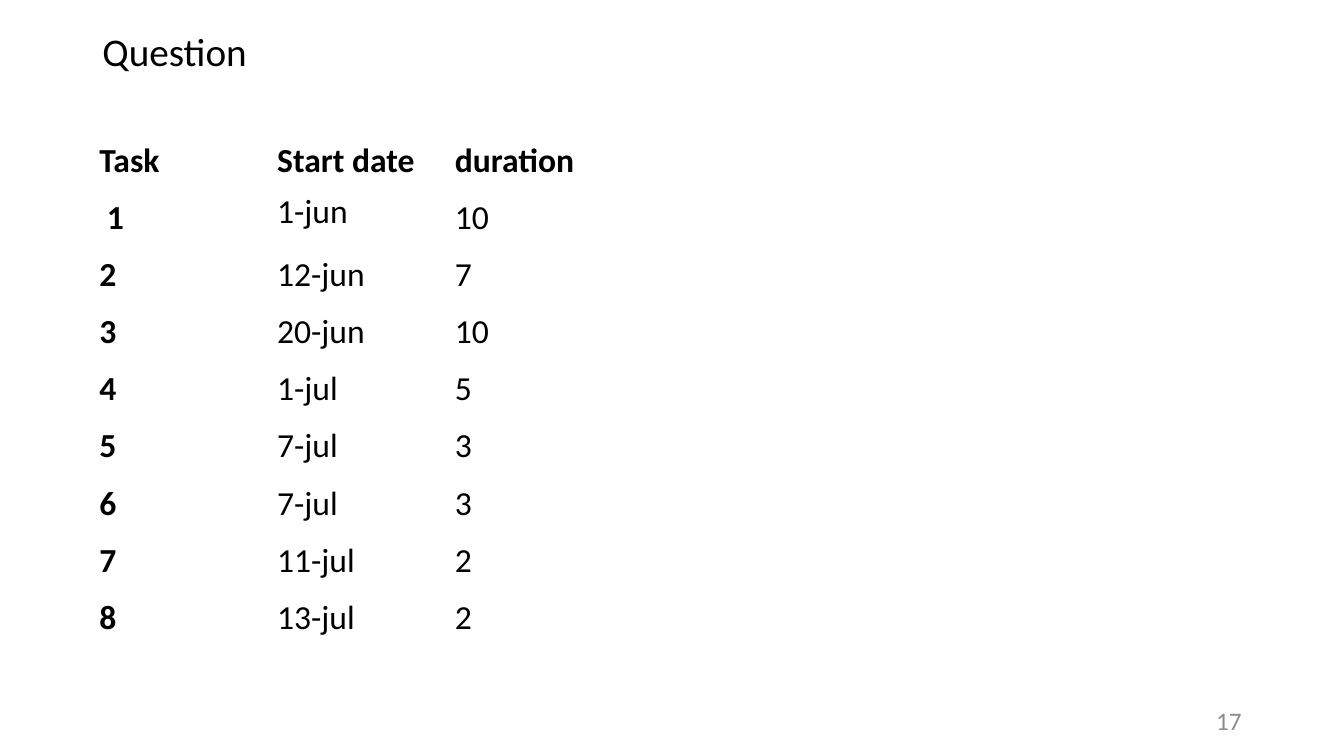
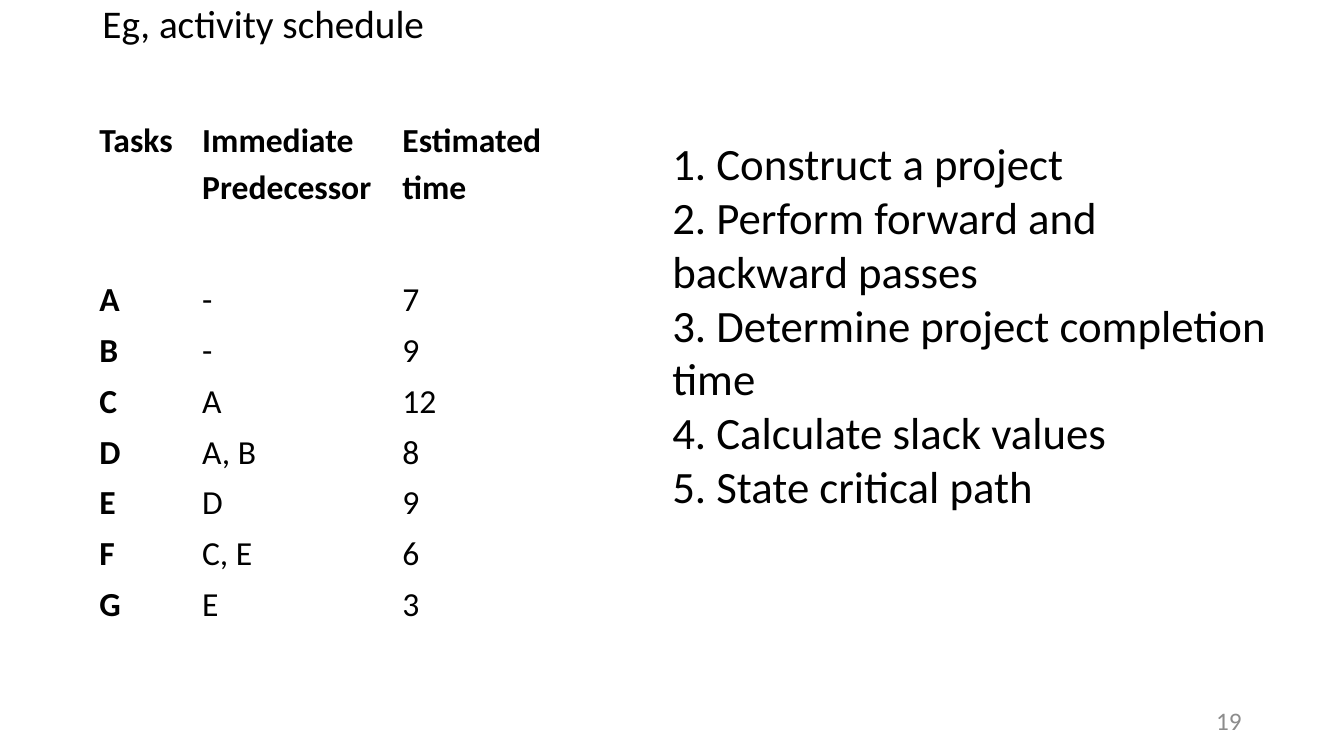
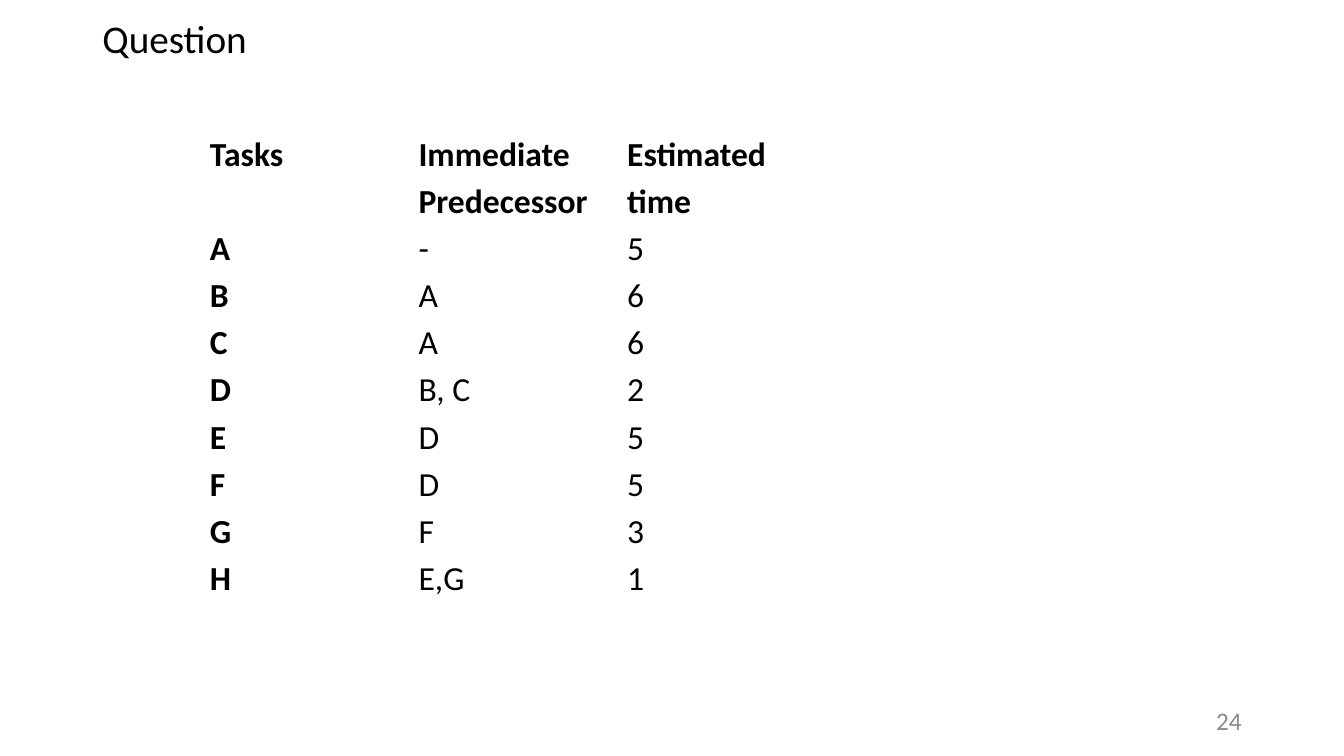
from lxml import etree
from pptx import Presentation
from pptx.dml.color import RGBColor
from pptx.enum.text import MSO_ANCHOR, MSO_AUTO_SIZE, PP_ALIGN
from pptx.oxml.ns import qn
from pptx.util import Pt

LEFT, RIGHT, JUSTIFY = PP_ALIGN.LEFT, PP_ALIGN.RIGHT, PP_ALIGN.JUSTIFY
TOP, MIDDLE = MSO_ANCHOR.TOP, MSO_ANCHOR.MIDDLE
NO_AUTOFIT = MSO_AUTO_SIZE.NONE

# Shared look
FONT = "Calibri"
BLACK = RGBColor(0x00, 0x00, 0x00)
GREY = RGBColor(0x8C, 0x8C, 0x8C)
WHITE = RGBColor(0xFF, 0xFF, 0xFF)
MARGIN_LEFT, CONTENT_WIDTH = 66, 828
CELL_INSET = 5
TITLE_ONLY, TITLE_AND_CONTENT = 5, 1

# Content
DATES = [
    ("Task", "Start date", "duration"),
    (" 1", "1-jun", "10"),
    ("2", "12-jun", "7"),
    ("3", "20-jun", "10"),
    ("4", "1-jul", "5"),
    ("5", "7-jul", "3"),
    ("6", "7-jul", "3"),
    ("7", "11-jul", "2"),
    ("8", "13-jul", "2"),
]
ACTIVITIES = [
    ("Tasks", "Immediate\nPredecessor", "Estimated\ntime"),
    ("A", "-", "7"),
    ("B", "-", "9"),
    ("C", "A", "12"),
    ("D", "A, B", "8"),
    ("E", "D", "9"),
    ("F", "C, E", "6"),
    ("G", "E", "3"),
]
EXERCISE = [
    ("Tasks", "Immediate Predecessor", "Estimated time"),
    ("A", "-", "5"),
    ("B", "A", "6"),
    ("C", "A", "6"),
    ("D", "B, C", "2"),
    ("E", "D", "5"),
    ("F", "D", "5"),
    ("G", "F", "3"),
    ("H", "E,G", "1"),
]
STEPS = [
    "1. Construct a project",
    "2. Perform forward and backward passes",
    "3. Determine project completion time",
    "4. Calculate slack values",
    "5. State critical path",
]


def write_text(frame, text, size=24, color=BLACK, bold=False, align=LEFT,
               spacing=1.0, before=0, after=0):
    """Fill a text frame; each line of text becomes a paragraph."""
    frame.text = text
    for paragraph in frame.paragraphs:
        paragraph.alignment = align
        paragraph.line_spacing = spacing
        paragraph.space_before, paragraph.space_after = Pt(before), Pt(after)
        for run in paragraph.runs:
            run.font.name, run.font.size = FONT, Pt(size)
            run.font.bold = bold
            run.font.color.rgb = color


def place(shape, left, top, width, height, anchor=TOP):
    """Move a text shape and fix its frame."""
    shape.left, shape.top = Pt(left), Pt(top)
    shape.width, shape.height = Pt(width), Pt(height)
    frame = shape.text_frame
    frame.word_wrap = True
    frame.auto_size = NO_AUTOFIT
    frame.vertical_anchor = anchor
    return frame


def add_slide(deck, layout, title, title_top, number):
    """Add a slide with its title and page number."""
    slide = deck.slides.add_slide(deck.slide_layouts[layout])
    heading = place(slide.shapes.title, MARGIN_LEFT, title_top, CONTENT_WIDTH, 44)
    write_text(heading, title, size=28, align=JUSTIFY, spacing=0.9,
               before=10, after=12)
    page = slide.shapes.add_textbox(0, 0, 0, 0)
    write_text(place(page, 678, 500.5, 216, 28.75, MIDDLE), number,
               size=18, color=GREY, align=RIGHT)
    return slide


def set_borders(cell, bottom):
    """Draw white cell borders, one point wide except at the bottom."""
    properties = cell._tc.get_or_add_tcPr()
    for side, weight in (("lnL", 1), ("lnR", 1), ("lnT", 1), ("lnB", bottom)):
        line = etree.SubElement(properties, qn("a:" + side), w=str(Pt(weight)))
        fill = etree.SubElement(line, qn("a:solidFill"))
        etree.SubElement(fill, qn("a:srgbClr"), val=str(WHITE))


def add_schedule(slide, rows, left, top, widths, header_height, row_height):
    """Add a white table with a bold header row and a bold first column."""
    heights = [header_height] + [row_height] * (len(rows) - 1)
    table = slide.shapes.add_table(
        len(rows), len(widths), Pt(left), Pt(top),
        Pt(sum(widths)), Pt(sum(heights))).table
    table.horz_banding = False
    for column, width in zip(table.columns, widths):
        column.width = Pt(width)
    for r, (values, height) in enumerate(zip(rows, heights)):
        table.rows[r].height = Pt(height)
        for c, value in enumerate(values):
            cell = table.cell(r, c)
            cell.margin_left = cell.margin_right = Pt(CELL_INSET)
            cell.margin_top = cell.margin_bottom = 0
            set_borders(cell, bottom=3 if r == 0 else 1)
            cell.fill.solid()
            cell.fill.fore_color.rgb = WHITE
            write_text(cell.text_frame, value, bold=r == 0 or c == 0, spacing=1.15)
    return table


def add_steps(slide, steps, left, top, width, height):
    """Put the steps in the body placeholder, without bullets or indents."""
    frame = place(slide.placeholders[1], left, top, width, height)
    write_text(frame, "\n".join(steps), size=32)
    for paragraph in frame.paragraphs:
        properties = paragraph._p.get_or_add_pPr()
        properties.set("marL", "0")
        properties.set("indent", "0")
        etree.SubElement(properties, qn("a:buNone"))


def main():
    deck = Presentation()
    deck.slide_width, deck.slide_height = Pt(960), Pt(540)

    # Tasks with start dates
    slide = add_slide(deck, TITLE_ONLY, "Question", 20, "17")
    dates = add_schedule(slide, DATES, MARGIN_LEFT, 96, [127] * 3, 40.8, 40.8)
    dates.cell(1, 1).text_frame.paragraphs[0].line_spacing = 1.0

    # Activity schedule and the steps to solve it
    slide = add_slide(deck, TITLE_AND_CONTENT, "Eg, activity schedule", 0, "19")
    add_schedule(slide, ACTIVITIES, MARGIN_LEFT, 81.5, [73.5, 143, 127], 114, 36.3)
    add_steps(slide, STEPS, 473, 93.6, 448, 279)

    # Exercise on predecessors
    slide = add_slide(deck, TITLE_ONLY, "Question", 10.5, "24")
    add_schedule(slide, EXERCISE, 145, 91.5, [149] * 3, 67.4, 33.6)

    deck.save("out.pptx")


if __name__ == "__main__":
    main()
